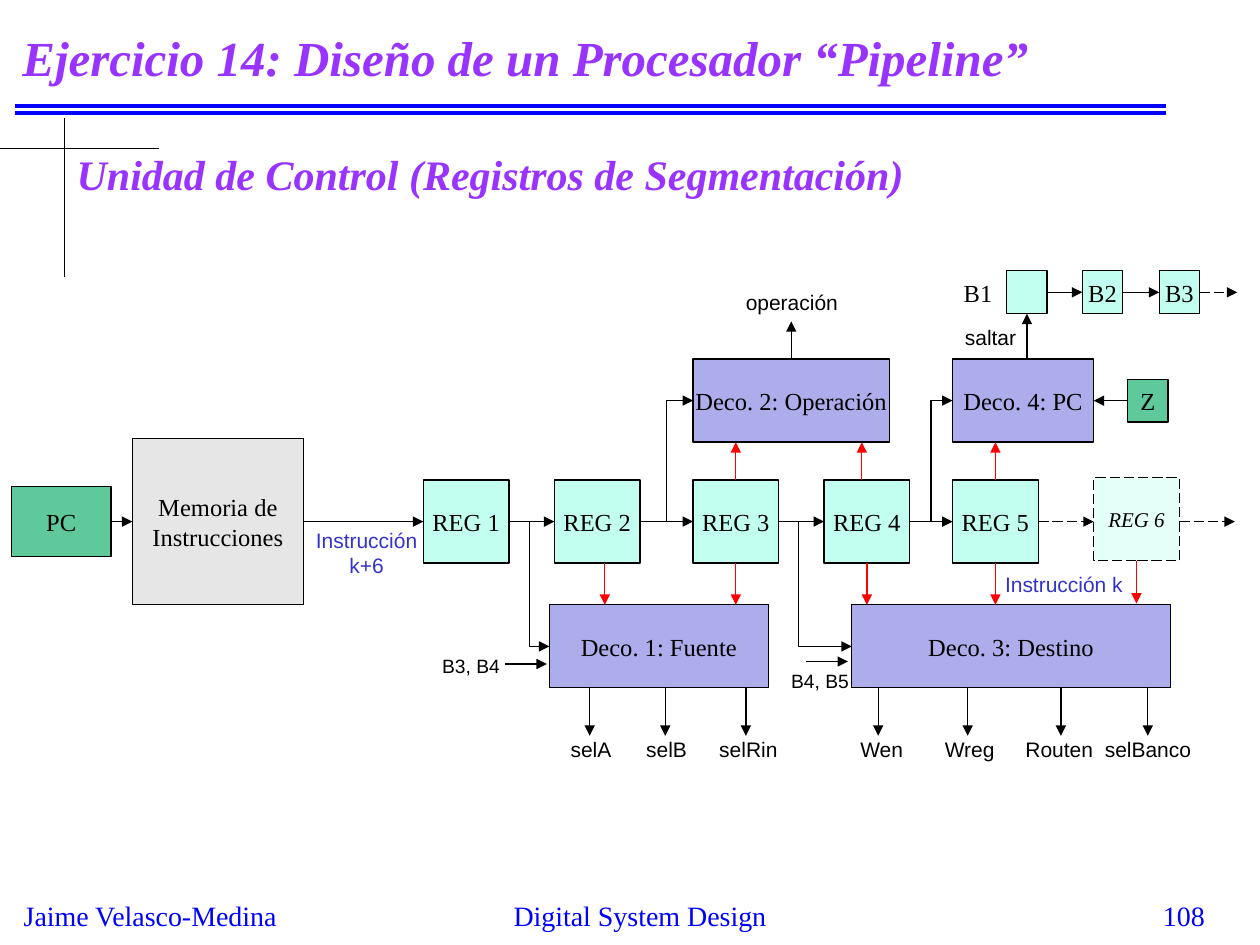
from dataclasses import dataclass
from typing import NamedTuple, Optional, Union

from lxml.etree import SubElement
from pptx import Presentation
from pptx.dml.color import RGBColor
from pptx.enum.dml import MSO_LINE_DASH_STYLE as Dash
from pptx.enum.shapes import MSO_CONNECTOR as Connector, MSO_SHAPE
from pptx.enum.text import MSO_ANCHOR as Anchor, MSO_AUTO_SIZE as AutoSize, PP_ALIGN as Align
from pptx.oxml.ns import qn
from pptx.util import Inches, Pt

BLACK = RGBColor(0x00, 0x00, 0x00)
RED = RGBColor(0xFF, 0x00, 0x00)
BLUE = RGBColor(0x00, 0x00, 0xFF)
INDIGO = RGBColor(0x33, 0x33, 0xCC)
VIOLET = RGBColor(0x99, 0x33, 0xFF)
GRAY = RGBColor(0xE6, 0xE6, 0xE6)
GREEN = RGBColor(0x60, 0xC9, 0x9C)
MINT = RGBColor(0xC2, 0xFF, 0xF0)
PALE_MINT = RGBColor(0xE5, 0xFF, 0xF9)
LAVENDER = RGBColor(0xAD, 0xAD, 0xEB)

SERIF, SANS = "Times New Roman", "Arial"
TOP, LEFT, BOTTOM, RIGHT = range(4)
FLOW_Y = 4.14
BRANCH_Y = 2.32


@dataclass(frozen=True)
class Block:
    key: str
    text: str
    left: float
    top: float
    width: float
    height: float
    fill: RGBColor
    future: bool = False


@dataclass(frozen=True)
class Label:
    text: str
    left: float
    top: float
    width: float
    height: float = 0.3
    size: float = 12
    font: str = SANS
    color: RGBColor = BLACK
    align: Align = Align.LEFT
    anchor: Anchor = Anchor.TOP
    heading: bool = False
    wrap: bool = False


class Point(NamedTuple):
    x: float
    y: float


class Side(NamedTuple):
    block: str
    site: int


class Signal(NamedTuple):
    name: str
    x: float
    left: float
    width: float


End = Union[Point, Side]


def register(number: int, left: float) -> Block:
    return Block(f"R{number}", f"REG {number}", left, 3.81, 0.68, 0.66, MINT)


def decoder(number: int, role: str, left: float, top: float, width: float) -> Block:
    return Block(f"D{number}", f"Deco. {number}: {role}", left, top, width, 0.66, LAVENDER)


def branch_bit(key: str, text: str, left: float) -> Block:
    return Block(key, text, left, 2.15, 0.32, 0.34, MINT)


BLOCKS = [
    Block("MEM", "Memoria de\nInstrucciones", 1.05, 3.48, 1.36, 1.32, GRAY),
    Block("PC", "PC", 0.09, 3.86, 0.79, 0.56, GREEN),
    *(register(i, x) for i, x in enumerate((3.36, 4.4, 5.5, 6.54, 7.56), start=1)),
    Block("R6", "REG 6", 8.68, 3.79, 0.68, 0.66, PALE_MINT, future=True),
    decoder(1, "Fuente", 4.36, 4.8, 1.74),
    decoder(2, "Operación", 5.5, 2.85, 1.56),
    decoder(3, "Destino", 6.76, 4.8, 2.53),
    decoder(4, "PC", 7.56, 2.85, 1.12),
    Block("Z", "Z", 8.95, 3.01, 0.32, 0.34, GREEN),
    branch_bit("B1", "", 7.99),
    branch_bit("B2", "B2", 8.59),
    branch_bit("B3", "B3", 9.2),
]

SIGNALS = [
    Signal("selA", 4.68, 4.43, 0.55), Signal("selB", 5.28, 5.03, 0.55),
    Signal("selRin", 5.92, 5.61, 0.68), Signal("Wen", 6.97, 6.73, 0.56),
    Signal("Wreg", 7.68, 7.4, 0.62), Signal("Routen", 8.42, 8.04, 0.76),
    Signal("selBanco", 9.11, 8.67, 0.92),
]

LABELS = [
    Label("Jaime Velasco-Medina", 0.09, 7.08, 2.24, 0.37, 16, SERIF, BLUE),
    Label("Digital System Design", 3.33, 7.08, 3.5, 0.33, 16, SERIF, BLUE, Align.CENTER, wrap=True),
    Label("108", 7.58, 7.08, 2.08, 0.25, 16, SERIF, BLUE, Align.RIGHT, wrap=True),
    Label("Ejercicio 14: Diseño de un Procesador “Pipeline”", 0.08, 0.08, 9.17, 0.75, 28,
          SERIF, VIOLET, anchor=Anchor.MIDDLE, heading=True, wrap=True),
    Label("Unidad de Control (Registros de Segmentación)", 0.51, 1, 9.17, 0.75, 24,
          SERIF, VIOLET, anchor=Anchor.MIDDLE, heading=True, wrap=True),
    Label("operación", 5.81, 2.25, 0.95, align=Align.CENTER),
    Label("saltar", 7.56, 2.53, 0.63),
    Label("B1", 7.55, 2.15, 0.45, 0.34, 14, SERIF, anchor=Anchor.MIDDLE),
    Label("Instrucción\nk+6", 2.38, 4.14, 1.06, 0.5, color=INDIGO, align=Align.CENTER),
    Label("Instrucción k", 7.56, 4.49, 1.77, color=INDIGO, align=Align.CENTER, wrap=True),
    Label("B3, B4", 3.41, 5.14, 0.68, 0.29, 11),
    Label("B4, B5", 6.18, 5.26, 0.68, 0.29, 11),
    *(Label(s.name, s.left, 5.8, s.width) for s in SIGNALS),
]

FLOW = [("PC", "MEM"), ("MEM", "R1"), ("R1", "R2"), ("R2", "R3"), ("R3", "R4"),
        ("R4", "R5"), ("B1", "B2"), ("B2", "B3")]
TAPS = [("R1", "D1", None), ("R2", "D2", None), ("R3", "D3", 27500), ("R4", "D4", None)]
DECODER_FEEDS = [
    (Point(4.8, 4.47), Point(4.8, 4.8)),
    (Side("R3", BOTTOM), Point(5.84, 4.8)),
    (Side("R3", TOP), Point(5.84, 3.51)),
    (Point(6.84, 3.81), Point(6.84, 3.51)),
    (Side("R4", BOTTOM), Point(6.88, 4.8)),
    (Side("R5", BOTTOM), Point(7.9, 4.8)),
    (Side("R5", TOP), Point(7.9, 3.51)),
    (Side("R6", BOTTOM), Point(9.02, 4.79)),
]
SIDE_ARROWS = [
    (Side("D2", TOP), Point(6.28, 2.55)),
    (Point(8.15, 2.85), Side("B1", BOTTOM)),
    (Side("Z", LEFT), Side("D4", RIGHT)),
    (Point(4.01, 5.27), Point(4.34, 5.27)),
    (Point(6.4, 5.25), Point(6.73, 5.25)),
    *((Point(s.x, 5.45), Point(s.x, 5.84)) for s in SIGNALS),
]
FUTURE_ARROWS = [
    (Side("R5", RIGHT), Point(8.68, FLOW_Y)),
    (Point(9.36, FLOW_Y), Point(9.8, FLOW_Y)),
    (Side("B3", RIGHT), Point(9.82, BRANCH_Y)),
]
RULES = [(Point(0.12, y), Point(9.25, y), BLUE, 2.25) for y in (0.84, 0.9)]
RULES += [(Point(0, 1.18), Point(1.26, 1.18), BLACK, 0.75),
          (Point(0.51, 0.94), Point(0.51, 2.2), BLACK, 0.75)]


def write(frame, text: str, size: float, font: str, color: RGBColor, align: Align,
          anchor: Anchor, bold: bool = False, italic: bool = False, wrap: bool = False) -> None:
    frame.text = text
    frame.word_wrap = wrap
    frame.vertical_anchor = anchor
    for paragraph in frame.paragraphs:
        paragraph.alignment = align
        for run in paragraph.runs:
            run.font.name, run.font.size = font, Pt(size)
            run.font.bold, run.font.italic = bold, italic
            run.font.color.rgb = color


def draw_label(slide, label: Label) -> None:
    box = slide.shapes.add_textbox(*map(Inches, (label.left, label.top, label.width, label.height)))
    write(box.text_frame, label.text, label.size, label.font, label.color, label.align,
          label.anchor, label.heading, label.heading, label.wrap)
    if not label.wrap:
        box.text_frame.auto_size = AutoSize.SHAPE_TO_FIT_TEXT


def draw_block(slide, block: Block):
    rect = slide.shapes.add_shape(
        MSO_SHAPE.RECTANGLE, *map(Inches, (block.left, block.top, block.width, block.height)))
    rect.shadow.inherit = False
    rect.fill.solid()
    rect.fill.fore_color.rgb = block.fill
    rect.line.color.rgb, rect.line.width = BLACK, Pt(0.75)
    if block.future:
        rect.line.dash_style = Dash.LONG_DASH
    write(rect.text_frame, block.text, 12 if block.future else 14, SERIF, BLACK,
          Align.CENTER, Anchor.MIDDLE, italic=block.future)
    return rect


def draw_line(slide, rects: dict, start: End, end: End, color: RGBColor = BLACK,
              width: float = 0.75, kind: Connector = Connector.STRAIGHT, arrow: bool = True,
              dashed: bool = False, bend: Optional[int] = None) -> None:
    """Draw a connector, joined to a block wherever an end is a Side."""
    points = [place if isinstance(place, Point) else Point(0, 0) for place in (start, end)]
    line = slide.shapes.add_connector(kind, *(Inches(v) for point in points for v in point))
    for place, join in ((start, line.begin_connect), (end, line.end_connect)):
        if isinstance(place, Side):
            join(rects[place.block], place.site)
    line.line.color.rgb, line.line.width = color, Pt(width)
    if dashed:
        line.line.dash_style = Dash.LONG_DASH
    properties = line._element.spPr
    if arrow:
        SubElement(properties.find(qn("a:ln")), qn("a:tailEnd"), type="triangle")
    if bend is not None:
        guides = properties.find(qn("a:prstGeom")).get_or_add_avLst()
        SubElement(guides, qn("a:gd"), name="adj1", fmla=f"val {bend}")
    SubElement(properties, qn("a:effectLst"))


def main() -> None:
    deck = Presentation()
    deck.slide_width, deck.slide_height = Inches(10), Inches(7.5)
    slide = deck.slides.add_slide(deck.slide_layouts[6])
    rects = {block.key: draw_block(slide, block) for block in BLOCKS}
    for start, end, color, width in RULES:
        draw_line(slide, rects, start, end, color, width, arrow=False)
    for source, target in FLOW:
        draw_line(slide, rects, Side(source, RIGHT), Side(target, LEFT))
    for source, target, bend in TAPS:
        draw_line(slide, rects, Side(source, RIGHT), Side(target, LEFT),
                  kind=Connector.ELBOW, bend=bend)
    for start, end in DECODER_FEEDS:
        draw_line(slide, rects, start, end, RED)
    for start, end in SIDE_ARROWS:
        draw_line(slide, rects, start, end)
    for start, end in FUTURE_ARROWS:
        draw_line(slide, rects, start, end, dashed=True)
    for label in LABELS:
        draw_label(slide, label)
    deck.save("out.pptx")


if __name__ == "__main__":
    main()
